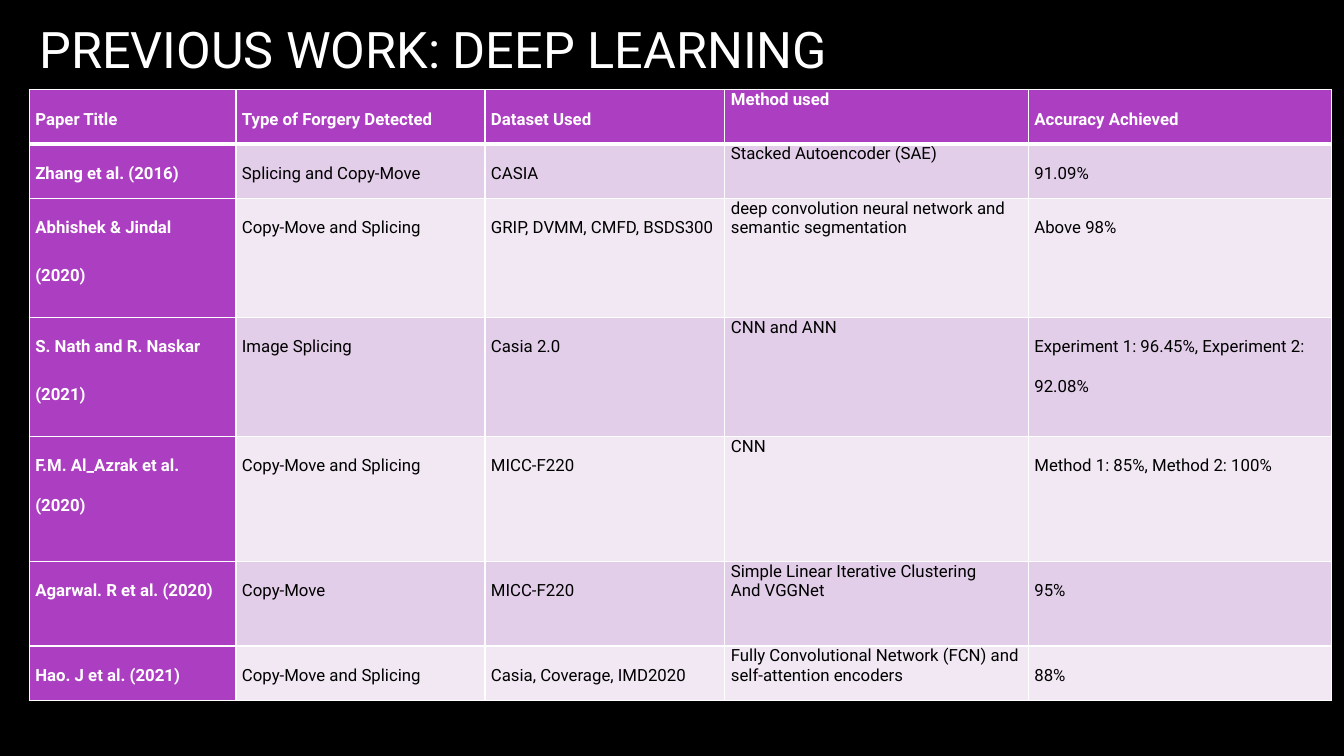
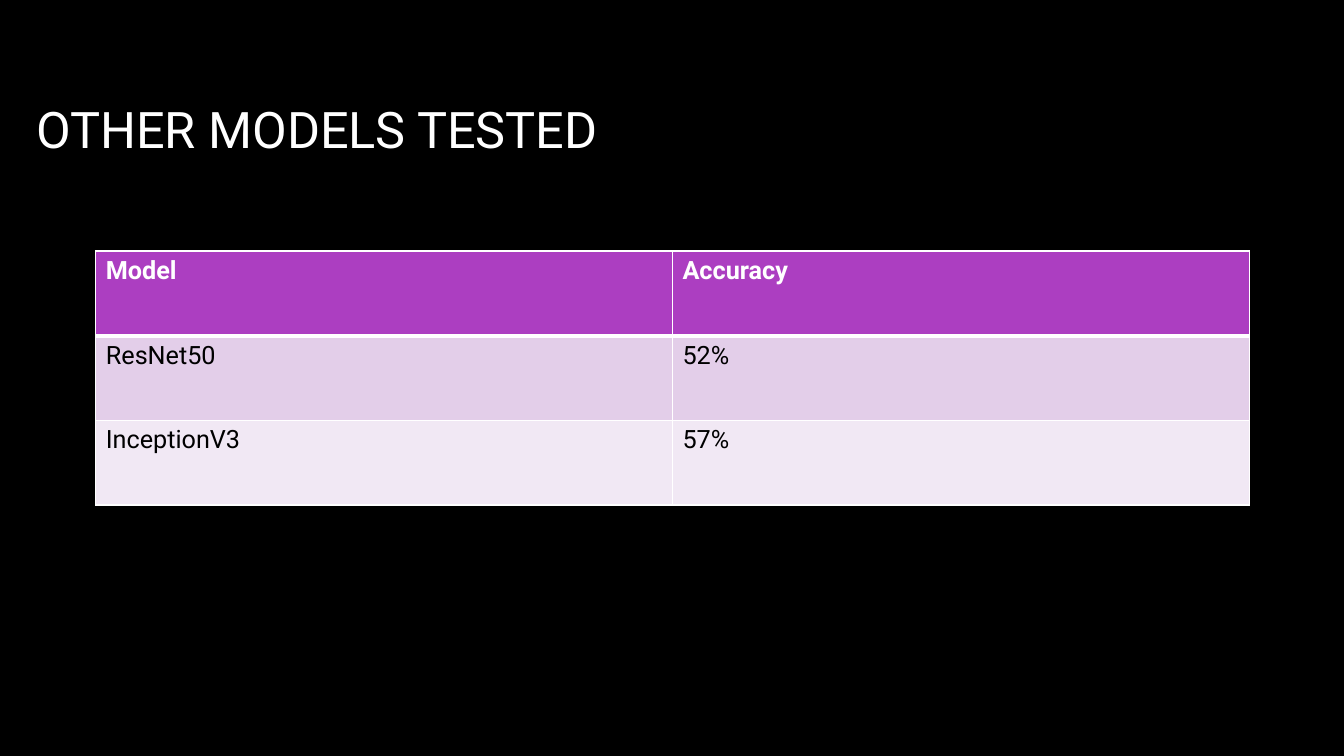
from dataclasses import dataclass

from lxml.etree import SubElement
from pptx import Presentation
from pptx.dml.color import RGBColor
from pptx.enum.text import MSO_ANCHOR, MSO_AUTO_SIZE, PP_ALIGN
from pptx.oxml.ns import qn
from pptx.util import Inches, Pt


@dataclass(frozen=True)
class Theme:
    font: str = "Roboto"
    back: str = "000000"
    light: str = "FFFFFF"
    dark: str = "000000"
    head: str = "AC3EC1"
    bands: tuple = ("E3CEE9", "F1E8F4")
    title: int = 36
    thin: int = 1
    thick: int = 3


THEME = Theme()

SLIDES = [
    {
        "title": "PREVIOUS WORK: DEEP LEARNING",
        "spot": (0.29, -0.32),
        "table": {
            "at": (0.29, 0.89),
            "cols": [2.05, 2.47, 2.38, 3.01, 3.01],
            "rows": [0.54, 0.54, 1.18, 1.18, 1.24, 0.84, 0.54],
            "size": 12,
            "inset": (0.06, 0),
            "side": True,
            "loose": {0, 1, 2, 4},
            "cells": [
                ["Paper Title", "Type of Forgery Detected", "Dataset Used",
                 "Method used", "Accuracy Achieved"],
                ["Zhang et al. (2016)", "Splicing and Copy-Move", "CASIA",
                 "Stacked Autoencoder (SAE)", "91.09%"],
                ["Abhishek & Jindal\n(2020)", "Copy-Move and Splicing",
                 "GRIP, DVMM, CMFD, BSDS300",
                 "deep convolution neural network and semantic segmentation",
                 "Above 98%"],
                ["S. Nath and R. Naskar\n(2021)", "Image Splicing", "Casia 2.0",
                 "CNN and ANN", "Experiment 1: 96.45%, Experiment 2: 92.08%"],
                ["F.M. Al_Azrak et al. (2020)", "Copy-Move and Splicing",
                 "MICC-F220", "CNN", "Method 1: 85%, Method 2: 100%"],
                ["Agarwal. R et al. (2020)", "Copy-Move", "MICC-F220",
                 "Simple Linear Iterative Clustering\nAnd VGGNet", "95%"],
                ["Hao. J et al. (2021)", "Copy-Move and Splicing",
                 "Casia, Coverage, IMD2020",
                 "Fully Convolutional Network (FCN) and self-attention encoders",
                 "88%"],
            ],
        },
    },
    {
        "title": "OTHER MODELS TESTED",
        "spot": (0.26, 0.48),
        "table": {
            "at": (0.95, 2.49),
            "cols": [5.72] * 2,
            "rows": [0.84] * 3,
            "size": 18,
            "inset": (0.1, 0.05),
            "side": False,
            "loose": set(),
            "cells": [
                ["Model", "Accuracy"],
                ["ResNet50", "52%"],
                ["InceptionV3", "57%"],
            ],
        },
    },
]


def paint(fill, color):
    fill.solid()
    fill.fore_color.rgb = RGBColor.from_string(color)


def write(para, text, size, color, bold=False):
    run = para.add_run()
    run.text = text
    font = run.font
    font.name = THEME.font
    font.size = Pt(size)
    font.bold = bold
    font.color.rgb = RGBColor.from_string(color)


def add_title(slide, text, spot):
    shape = slide.shapes.title
    shape.left, shape.top = map(Inches, spot)
    shape.width, shape.height = Inches(11.08), Inches(1.59)
    frame = shape.text_frame
    frame.word_wrap = True
    frame.auto_size = MSO_AUTO_SIZE.NONE
    frame.vertical_anchor = MSO_ANCHOR.MIDDLE
    para = frame.paragraphs[0]
    para.alignment = PP_ALIGN.LEFT
    write(para, text, THEME.title, THEME.light)


def add_edges(cell, row):
    props = cell._tc.get_or_add_tcPr()
    heavy = {0: "lnB", 1: "lnT"}.get(row)
    for tag in ("lnL", "lnR", "lnT", "lnB"):
        width = THEME.thick if tag == heavy else THEME.thin
        line = SubElement(props, qn(f"a:{tag}"), w=str(Pt(width)))
        fill = SubElement(line, qn("a:solidFill"))
        SubElement(fill, qn("a:srgbClr"), val=THEME.light)


def fill_cell(cell, text, row, col, data):
    head = row == 0
    strong = head or (data["side"] and col == 0)
    add_edges(cell, row)
    paint(cell.fill, THEME.head if strong else THEME.bands[(row - 1) % 2])
    wide, high = map(Inches, data["inset"])
    cell.margin_left = cell.margin_right = wide
    cell.margin_top = cell.margin_bottom = high
    frame = cell.text_frame
    for index, part in enumerate(text.split("\n")):
        para = frame.add_paragraph() if index else frame.paragraphs[0]
        if col in data["loose"]:
            para.line_spacing = 2.0
            para.space_after = Pt(6)
            para.alignment = PP_ALIGN.JUSTIFY if head else PP_ALIGN.LEFT
        color = THEME.light if strong else THEME.dark
        write(para, part, data["size"], color, strong)


def add_grid(slide, data):
    cols, rows = data["cols"], data["rows"]
    left, top = data["at"]
    table = slide.shapes.add_table(
        len(rows), len(cols), Inches(left), Inches(top),
        Inches(sum(cols)), Inches(sum(rows))).table
    for col, width in zip(table.columns, cols):
        col.width = Inches(width)
    for row, height in zip(table.rows, rows):
        row.height = Inches(height)
    for row, texts in enumerate(data["cells"]):
        for col, text in enumerate(texts):
            fill_cell(table.cell(row, col), text, row, col, data)


def main():
    deck = Presentation()
    deck.slide_width, deck.slide_height = Inches(13.33), Inches(7.5)
    paint(deck.slide_master.background.fill, THEME.back)
    for item in SLIDES:
        slide = deck.slides.add_slide(deck.slide_layouts[5])
        add_title(slide, item["title"], item["spot"])
        add_grid(slide, item["table"])
    deck.save("out.pptx")


if __name__ == "__main__":
    main()
